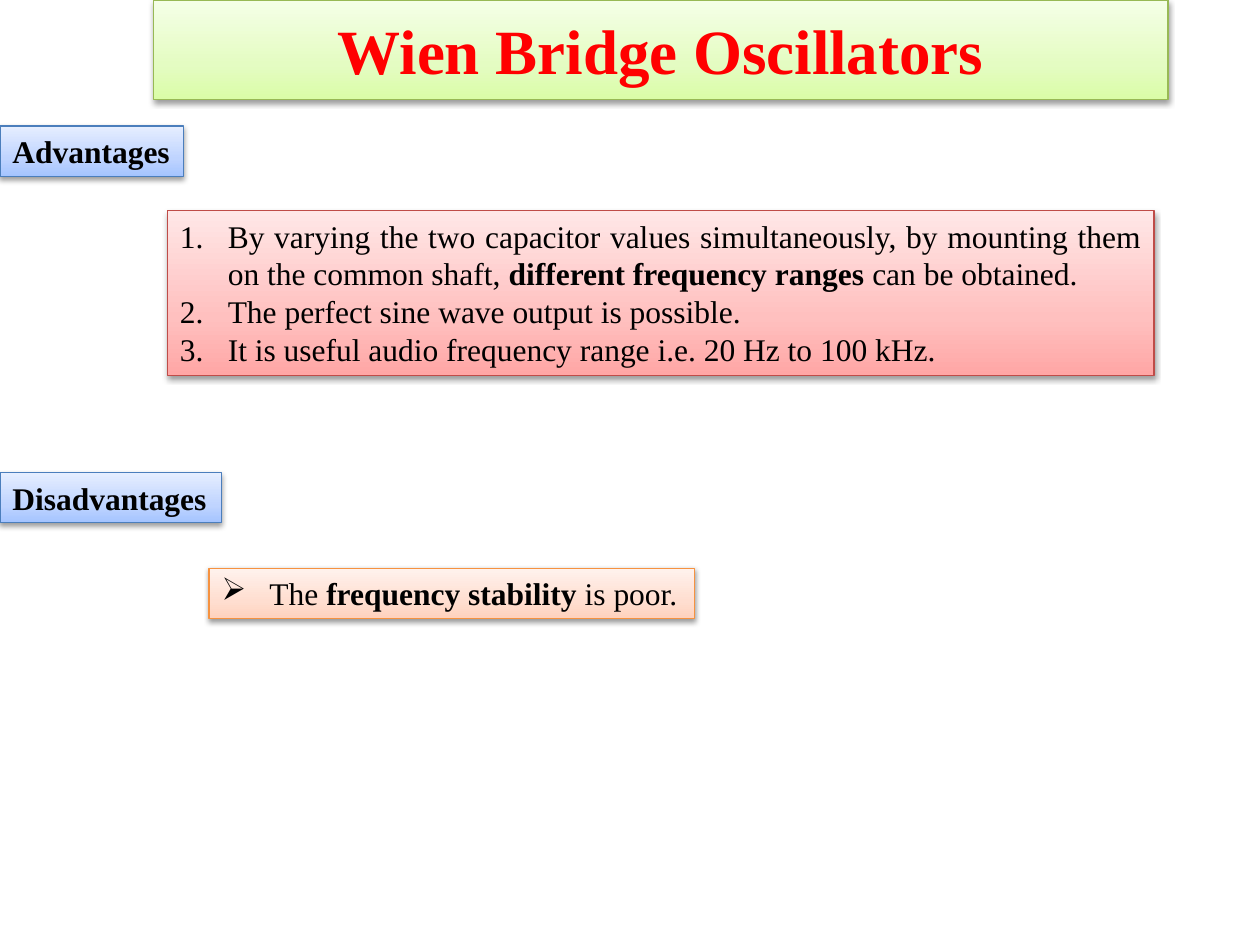
from lxml.etree import SubElement
from pptx import Presentation
from pptx.dml.color import RGBColor
from pptx.enum.shapes import MSO_SHAPE
from pptx.enum.text import MSO_ANCHOR, MSO_AUTO_SIZE, PP_ALIGN
from pptx.oxml import parse_xml
from pptx.oxml.ns import nsdecls, qn
from pptx.util import Inches, Pt

FONT = "Times New Roman"
GREEN = ("98B955", "DAFDA7", "E4FCC2", "F5FFE7")
BLUE = ("4B7EBC", "A4C4FF", "BFD4FF", "E6EEFF")
RED = ("BF4C48", "FFA6A5", "FFC0BF", "FFE7E7")
ORANGE = ("F69240", "FFD2BD", "FFDED0", "FFF2ED")
TITLE = "Wien Bridge Oscillators"
HEADS = [("Advantages", (0, 1, 1.46, 0.4)), ("Disadvantages", (0, 3.75, 1.76, 0.4))]
PROS = [
    [("By varying the two capacitor values simultaneously, by mounting them on the common shaft, ", False),
     ("different frequency ranges ", True), ("can be obtained.", False)],
    [("The perfect sine wave output is possible.", False)],
    [("It is useful audio frequency range i.e. 20 Hz to 100 kHz.", False)],
]
CONS = [[("The ", False), ("frequency stability ", True), ("is poor.", False)]]
NUMBER = [("buFont", {"typeface": "+mj-lt"}), ("buAutoNum", {"type": "arabicPeriod"})]
ARROW = [("buFont", {"typeface": "Wingdings"}), ("buChar", {"char": "Ø"})]
LISTS = [
    (PROS, NUMBER, RED, (1.33, 1.67, 7.83, 1.31), True),
    (CONS, ARROW, ORANGE, (1.66, 4.51, 3.85, 0.4), False),
]


def paint(shape, look):
    """Give a shape its gradient, outline and soft shadow."""
    edge, *tones = look
    stops = "".join(f'<a:gs pos="{pos}000"><a:srgbClr val="{tone}"/></a:gs>'
                    for pos, tone in zip((0, 35, 100), tones))
    props = shape._element.spPr
    props.append(parse_xml(f'<a:gradFill {nsdecls("a")} rotWithShape="1"><a:gsLst>{stops}</a:gsLst>'
                           '<a:lin ang="16200000" scaled="0"/></a:gradFill>'))
    shape.line.color.rgb = RGBColor.from_string(edge)
    shape.line.width = Pt(0.75)
    props.append(parse_xml(f'<a:effectLst {nsdecls("a")}><a:outerShdw blurRad="40000" dist="20000" '
                           'dir="5400000" rotWithShape="0"><a:srgbClr val="000000">'
                           '<a:alpha val="38000"/></a:srgbClr></a:outerShdw></a:effectLst>'))


def place(shape, box):
    """Move and size a shape, in inches."""
    shape.left, shape.top, shape.width, shape.height = map(Inches, box)


def style(para, size, color, align, bold=None):
    """Set the font and alignment of a paragraph."""
    para.alignment = align
    font = para.font
    font.name, font.size, font.bold = FONT, Pt(size), bold
    font.color.rgb = RGBColor.from_string(color)


def panel(slide, box, look, wrap):
    """Add a painted box and return its text frame."""
    shape = slide.shapes.add_shape(MSO_SHAPE.RECTANGLE, *map(Inches, box))
    paint(shape, look)
    frame = shape.text_frame
    frame.word_wrap = wrap
    frame.auto_size = MSO_AUTO_SIZE.SHAPE_TO_FIT_TEXT
    frame.vertical_anchor = MSO_ANCHOR.TOP
    return frame


def bullet(para, marks):
    """Hang a bullet or number on a paragraph."""
    props = para._p.get_or_add_pPr()
    props.set("marL", str(Inches(0.38)))
    props.set("indent", str(Inches(-0.38)))
    spot = 0
    for tag, attrs in marks:
        node = SubElement(props, qn(f"a:{tag}"), attrs)
        props.insert(spot, node)
        spot += 1


def build():
    """Build the slide and save it."""
    deck = Presentation()
    deck.slide_width, deck.slide_height = Inches(10), Inches(7.5)
    slide = deck.slides.add_slide(deck.slide_layouts[5])

    title = slide.shapes.title
    place(title, (1.22, 0, 8.05, 0.79))
    paint(title, GREEN)
    frame = title.text_frame
    frame.text = TITLE
    frame.auto_size = MSO_AUTO_SIZE.NONE
    frame.vertical_anchor = MSO_ANCHOR.MIDDLE
    style(frame.paragraphs[0], 36, "FF0000", PP_ALIGN.CENTER, True)

    for text, box in HEADS:
        frame = panel(slide, box, BLUE, False)
        frame.text = text
        style(frame.paragraphs[0], 18, "000000", PP_ALIGN.LEFT, True)

    for items, marks, look, box, wrap in LISTS:
        frame = panel(slide, box, look, wrap)
        for spot, parts in enumerate(items):
            para = frame.add_paragraph() if spot else frame.paragraphs[0]
            style(para, 18, "000000", PP_ALIGN.JUSTIFY)
            bullet(para, marks)
            for text, bold in parts:
                run = para.add_run()
                run.text, run.font.bold = text, bold

    deck.save("out.pptx")


if __name__ == "__main__":
    build()
